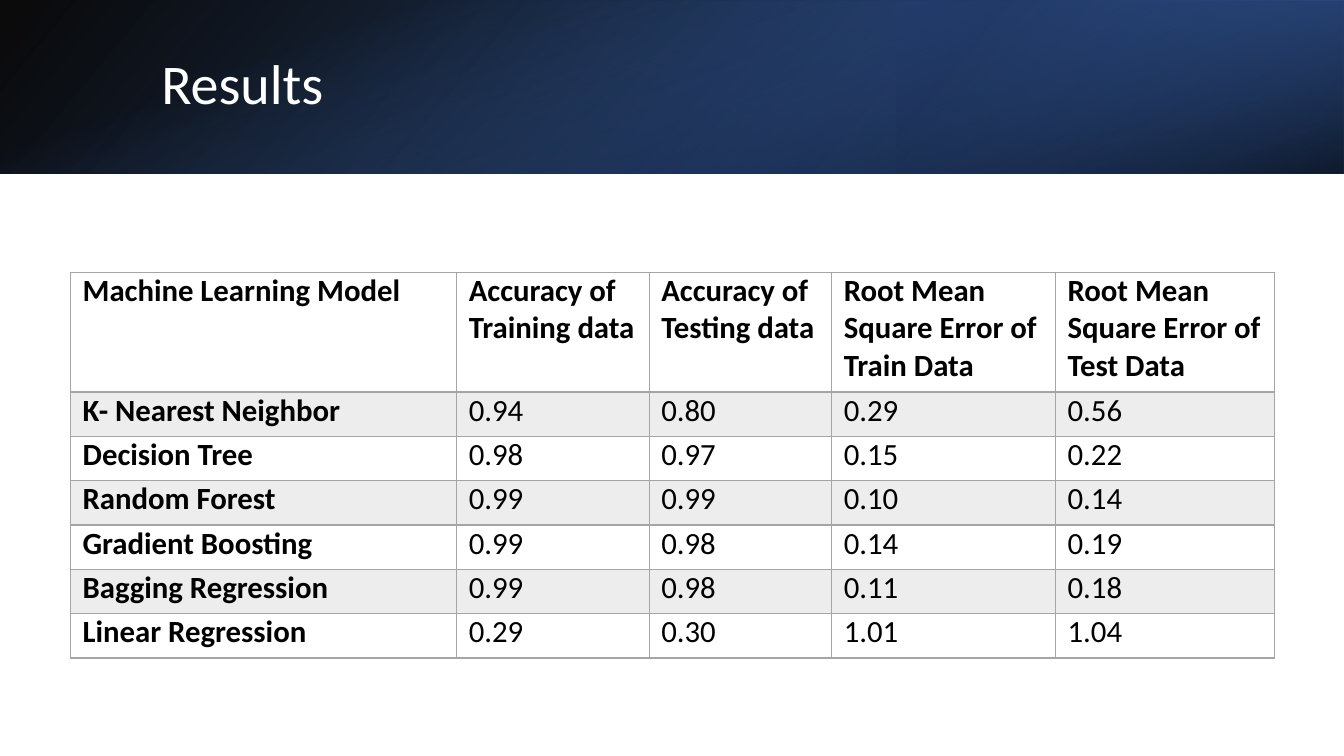
from dataclasses import dataclass

from lxml.etree import SubElement
from pptx import Presentation
from pptx.dml.color import RGBColor
from pptx.enum.shapes import MSO_SHAPE
from pptx.enum.text import MSO_ANCHOR, PP_ALIGN
from pptx.oxml import parse_xml
from pptx.oxml.ns import nsdecls, qn
from pptx.slide import Slide
from pptx.table import _Cell
from pptx.text.text import TextFrame
from pptx.util import Inches, Pt

COLORS = {
    "black": "000000",
    "white": "FFFFFF",
    "deep": "2F5597",
    "navy": "203864",
    "blue": "4472C4",
    "gray": "A5A5A5",
}
FONT = "Calibri"


@dataclass
class Stop:
    position: int
    color: str
    alpha: int


@dataclass
class Band:
    left: float
    top: float
    width: float
    height: float
    angle: int
    stops: tuple[Stop, Stop]
    rotation: int = 0
    flipped: bool = False


@dataclass
class ModelResult:
    name: str
    scores: tuple[str, str, str, str]


BANDS = [
    Band(0, 0, 13.33, 1.72, 140,
         (Stop(0, "black", 96), Stop(100, "deep", 100)), flipped=True),
    Band(8.89, 0, 4.44, 1.72, 320,
         (Stop(19, "navy", 68), Stop(100, "blue", 79)), rotation=180, flipped=True),
    Band(5.8, -5.8, 1.72, 13.33, 340,
         (Stop(23, "blue", 0), Stop(99, "black", 74)), rotation=90),
]
HEADERS = (
    "Machine Learning Model",
    "Accuracy of Training data",
    "Accuracy of Testing data",
    "Root Mean Square Error of Train Data",
    "Root Mean Square Error of Test Data",
)
RESULTS = [
    ModelResult("K- Nearest Neighbor", ("0.94", "0.80", "0.29", "0.56")),
    ModelResult("Decision Tree", ("0.98", "0.97", "0.15", "0.22")),
    ModelResult("Random Forest", ("0.99", "0.99", "0.10", "0.14")),
    ModelResult("Gradient Boosting", ("0.99", "0.98", "0.14", "0.19")),
    ModelResult("Bagging Regression", ("0.99", "0.98", "0.11", "0.18")),
    ModelResult("Linear Regression", ("0.29", "0.30", "1.01", "1.04")),
]
COLUMN_WIDTHS = (3.83, 1.91, 1.81, 2.22, 2.17)
HEADER_HEIGHT, ROW_HEIGHT = 1.19, 0.44


def write_text(frame: TextFrame, text: str, *, size: int, color: str,
               bold: bool = False, spacing: float = 1.0) -> None:
    paragraph = frame.paragraphs[0]
    paragraph.alignment = PP_ALIGN.LEFT
    paragraph.line_spacing = spacing
    run = paragraph.add_run()
    run.text = text
    run.font.name = FONT
    run.font.size = Pt(size)
    run.font.bold = bold
    run.font.color.rgb = RGBColor.from_string(COLORS[color])


def draw_band(slide: Slide, band: Band) -> None:
    shape = slide.shapes.add_shape(
        MSO_SHAPE.RECTANGLE, Inches(band.left), Inches(band.top),
        Inches(band.width), Inches(band.height))
    shape.shadow.inherit = False
    shape.line.fill.background()
    shape.rotation = band.rotation
    properties = shape.element.spPr
    if band.flipped:
        properties.find(qn("a:xfrm")).set("flipH", "1")
    stops = "".join(
        f'<a:gs pos="{stop.position * 1000}"><a:srgbClr val="{COLORS[stop.color]}">'
        f'<a:alpha val="{stop.alpha * 1000}"/></a:srgbClr></a:gs>'
        for stop in band.stops)
    gradient = parse_xml(
        f'<a:gradFill {nsdecls("a")} rotWithShape="1"><a:gsLst>{stops}</a:gsLst>'
        f'<a:lin ang="{band.angle * 60000}" scaled="0"/></a:gradFill>')
    properties.find(qn("a:prstGeom")).addnext(gradient)


def draw_title(slide: Slide, text: str) -> None:
    title = slide.shapes.title
    title.left, title.top = Inches(1.5), Inches(0.38)
    title.width, title.height = Inches(10.98), Inches(0.96)
    title.text_frame.vertical_anchor = MSO_ANCHOR.MIDDLE
    write_text(title.text_frame, text, size=40, color="white", spacing=0.9)
    # Bring the title in front of the bands
    slide.shapes.element.append(title.element)


def format_cell(cell: _Cell, *, shaded: bool, bottom_width: int) -> None:
    cell.margin_left = cell.margin_right = Inches(0.12)
    cell.margin_top = cell.margin_bottom = 0
    cell.vertical_anchor = MSO_ANCHOR.TOP
    properties = cell._tc.get_or_add_tcPr()
    widths = {"lnL": 1, "lnR": 1, "lnT": 1, "lnB": bottom_width}
    for side, width in widths.items():
        properties.append(parse_xml(
            f'<a:{side} {nsdecls("a")} w="{Pt(width)}"><a:solidFill>'
            f'<a:srgbClr val="{COLORS["gray"]}"/></a:solidFill></a:{side}>'))
    if shaded:
        cell.fill.solid()
        cell.fill.fore_color.rgb = RGBColor.from_string(COLORS["gray"])
        fill_color = properties.find(qn("a:solidFill")).find(qn("a:srgbClr"))
        SubElement(fill_color, qn("a:alpha")).set("val", "20000")
    else:
        cell.fill.background()


def draw_results(slide: Slide) -> None:
    rows = [HEADERS, *((result.name, *result.scores) for result in RESULTS)]
    heights = [HEADER_HEIGHT] + [ROW_HEIGHT] * len(RESULTS)
    table = slide.shapes.add_table(
        len(rows), len(HEADERS), Inches(0.7), Inches(2.7),
        Inches(sum(COLUMN_WIDTHS)), Inches(sum(heights))).table
    table.first_row = table.horz_banding = False
    for column, width in zip(table.columns, COLUMN_WIDTHS):
        column.width = Inches(width)
    for row_index, (values, height) in enumerate(zip(rows, heights)):
        table.rows[row_index].height = Inches(height)
        is_header = row_index == 0
        for column_index, value in enumerate(values):
            cell = table.cell(row_index, column_index)
            write_text(cell.text_frame, value, size=22, color="black",
                       bold=is_header or column_index == 0)
            format_cell(cell, shaded=row_index % 2 == 1,
                        bottom_width=2 if is_header else 1)


def main() -> None:
    presentation = Presentation()
    presentation.slide_width, presentation.slide_height = Inches(13.33), Inches(7.5)
    slide = presentation.slides.add_slide(presentation.slide_layouts[5])

    # Header banner
    for band in BANDS:
        draw_band(slide, band)
    draw_title(slide, "Results")

    # Model comparison
    draw_results(slide)
    presentation.save("out.pptx")


if __name__ == "__main__":
    main()
